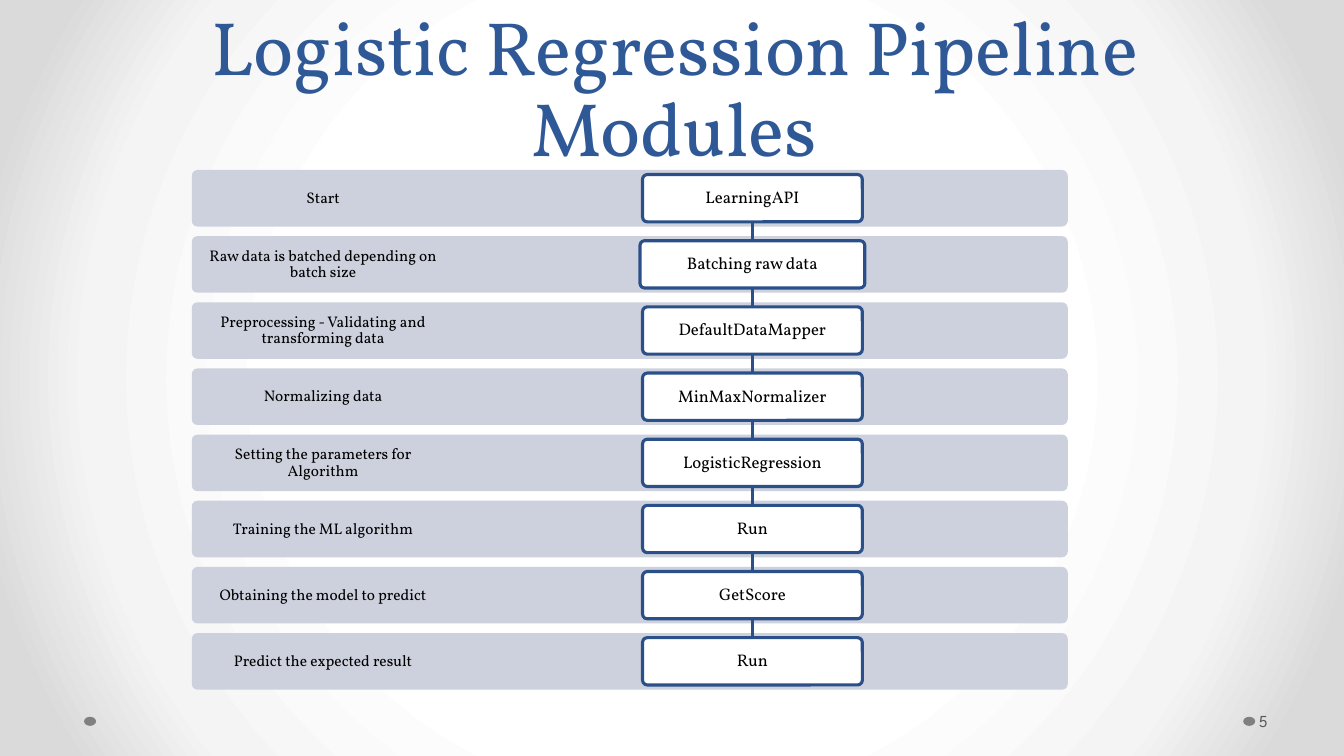
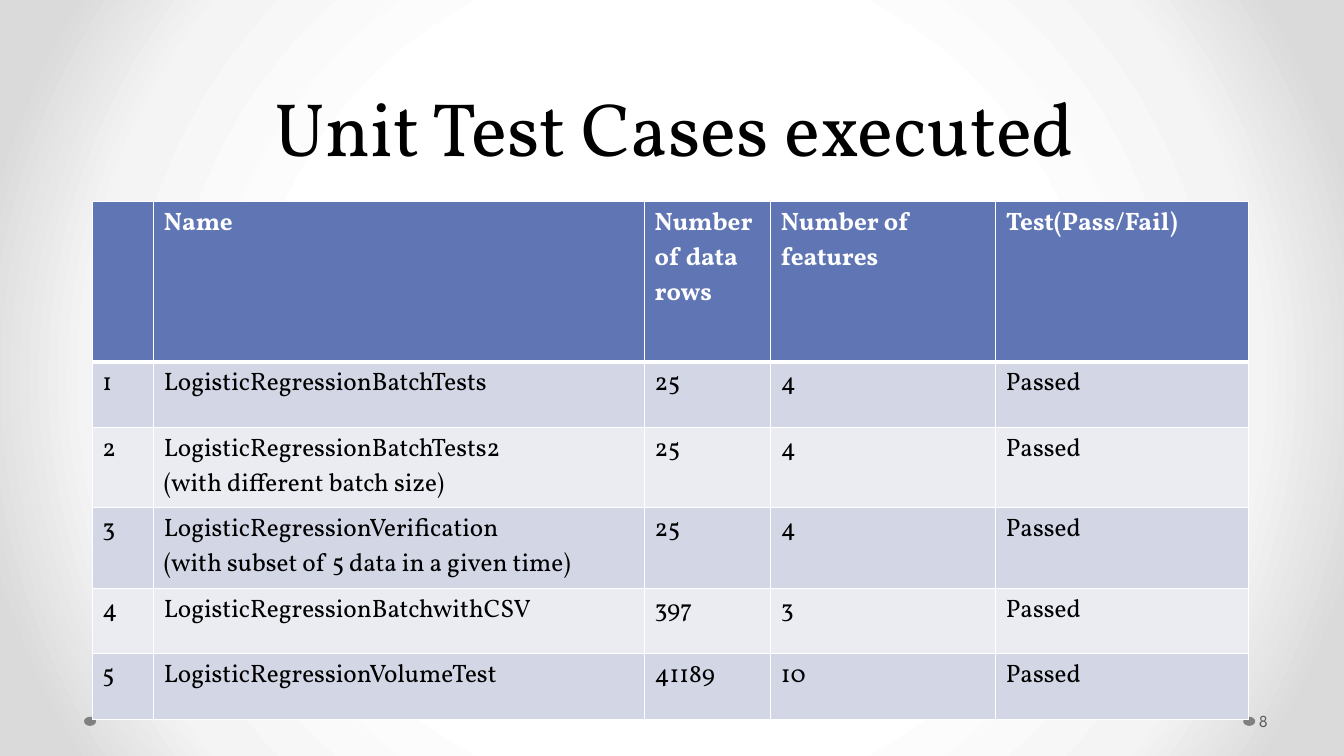
from dataclasses import dataclass

from lxml import etree
from pptx import Presentation
from pptx.dml.color import RGBColor
from pptx.enum.shapes import MSO_CONNECTOR, MSO_SHAPE
from pptx.enum.text import MSO_ANCHOR, MSO_AUTO_SIZE, PP_ALIGN
from pptx.oxml import parse_xml
from pptx.oxml.ns import nsdecls, qn
from pptx.util import Pt

LEFT, CENTER = PP_ALIGN.LEFT, PP_ALIGN.CENTER
TOP, MIDDLE, BOTTOM = MSO_ANCHOR.TOP, MSO_ANCHOR.MIDDLE, MSO_ANCHOR.BOTTOM
NO_FIT = MSO_AUTO_SIZE.NONE
ELLIPSE, ROUNDED = MSO_SHAPE.OVAL, MSO_SHAPE.ROUNDED_RECTANGLE
STRAIGHT = MSO_CONNECTOR.STRAIGHT


@dataclass(frozen=True)
class Theme:
    serif: str = "Vollkorn"
    sans: str = "League Spartan"
    title_size: float = 54
    title_leading: float = 58
    table_size: float = 18
    module_size: float = 12
    label_size: float = 11
    number_size: float = 12
    outline: float = 2.25
    black: str = "000000"
    white: str = "FFFFFF"
    blue: str = "2F5897"
    line: str = "2B5089"
    bar: str = "CDD1DD"
    dot: str = "808080"
    number: str = "595959"
    header: str = "6076B4"
    bands: tuple = ("D2D6E5", "EAECF2")
    backdrop: tuple = ((50, "FFFFFF"), (76, "F4F4F4"), (92, "DADADA"))


T = Theme()

STEPS = (
    ("Start", "LearningAPI"),
    ("Raw data is batched depending on batch size", "Batching raw data"),
    ("Preprocessing - Validating and transforming data", "DefaultDataMapper"),
    ("Normalizing data", "MinMaxNormalizer"),
    ("Setting the parameters for Algorithm", "LogisticRegression"),
    ("Training the ML algorithm", "Run"),
    ("Obtaining the model to predict", "GetScore"),
    ("Predict the expected result", "Run"),
)

TESTS = (
    ("", "Name", "Number of data rows", "Number of features", "Test(Pass/Fail)"),
    ("1", "LogisticRegressionBatchTests", "25", "4", "Passed"),
    ("2", "LogisticRegressionBatchTests2\n(with different batch size)", "25", "4", "Passed"),
    ("3", "LogisticRegressionVerification\n(with subset of 5 data in a given time)",
     "25", "4", "Passed"),
    ("4", "LogisticRegressionBatchwithCSV", "397", "3", "Passed"),
    ("5", "LogisticRegressionVolumeTest", "41189", "10", "Passed"),
)


def rgb(color):
    return RGBColor.from_string(color)


def set_all(target, values):
    for name, value in values.items():
        setattr(target, name, value)


def set_text(tf, text, size, color, font=T.serif, bold=False, align=LEFT, leading=None):
    tf.text = text
    for p in tf.paragraphs:
        set_all(p, {"alignment": align, "line_spacing": leading})
        set_all(p.font, {"size": Pt(size), "name": font, "bold": bold})
        p.font.color.rgb = rgb(color)
        for r in p.runs:
            set_all(r.font, {"size": Pt(size), "name": font, "bold": bold})
            r.font.color.rgb = rgb(color)


def set_frame(tf, anchor, left, other):
    set_all(tf, {"word_wrap": True, "auto_size": NO_FIT, "vertical_anchor": anchor,
                 "margin_left": Pt(left), "margin_right": Pt(other),
                 "margin_top": Pt(other), "margin_bottom": Pt(other)})


def add_box(s, kind, box, fill, line=None):
    sp = s.shapes.add_shape(kind, *map(Pt, box))
    sp.shadow.inherit = False
    sp.fill.solid()
    sp.fill.fore_color.rgb = rgb(fill)
    if line:
        sp.line.color.rgb = rgb(line)
        sp.line.width = Pt(T.outline)
    else:
        sp.line.fill.background()
    if kind == ROUNDED:
        sp.adjustments[0] = 0.1
    return sp


def add_link(s, x, y1, y2):
    cx = s.shapes.add_connector(STRAIGHT, Pt(x), Pt(y1), Pt(x), Pt(y2))
    cx.line.color.rgb = rgb(T.line)
    cx.line.width = Pt(T.outline)
    etree.SubElement(cx._element.spPr, qn("a:effectLst"))


def set_backdrop(master):
    master.background.fill.gradient()
    grad = master._element.find(".//" + qn("a:gradFill"))
    stops = "".join(f'<a:gs pos="{pos * 1000}"><a:srgbClr val="{color}"/></a:gs>'
                    for pos, color in T.backdrop)
    new = parse_xml(
        f'<a:gradFill {nsdecls("a")} rotWithShape="1"><a:gsLst>{stops}</a:gsLst>'
        '<a:path path="circle"><a:fillToRect l="50000" t="50000" r="50000" b="50000"/>'
        '</a:path></a:gradFill>')
    grad.getparent().replace(grad, new)


def new_slide(prs, title, color, number):
    s = prs.slides.add_slide(prs.slide_layouts[5])
    for x in (888, 60):
        add_box(s, ELLIPSE, (x, 512, 8.6, 6.5), T.dot)
    sp = s.shapes.title
    set_all(sp, {"left": Pt(48), "top": Pt(0), "width": Pt(864), "height": Pt(126)})
    set_frame(sp.text_frame, BOTTOM, 7.2, 3.6)
    set_text(sp.text_frame, title, T.title_size, color, align=CENTER,
             leading=Pt(T.title_leading))
    tf = s.shapes.add_textbox(Pt(897), Pt(500.4), Pt(59), Pt(28.8)).text_frame
    set_frame(tf, MIDDLE, 2.2, 3.6)
    set_text(tf, number, T.number_size, T.number, T.sans)
    return s


def add_pipeline(s, box, steps):
    left, top, width, height = box
    bar_h, module_h = 40.4, 33.8
    pitch = (height - bar_h) / (len(steps) - 1)
    inset = (bar_h - module_h) / 2
    center = left + width * 0.64
    for i, (label, module) in enumerate(steps):
        y = top + i * pitch
        add_box(s, ROUNDED, (left, y, width, bar_h), T.bar)
        tf = s.shapes.add_textbox(Pt(left), Pt(y), Pt(width * 0.3), Pt(bar_h)).text_frame
        set_frame(tf, MIDDLE, 6.2, 6.2)
        set_text(tf, label, T.label_size, T.black, align=CENTER, leading=0.9)
        module_w = 160.6 if i == 1 else 157
        sp = add_box(s, ROUNDED, (center - module_w / 2, y + inset, module_w, module_h),
                     T.white, T.line)
        set_frame(sp.text_frame, MIDDLE, 3.6, 3.6)
        set_text(sp.text_frame, module, T.module_size, T.black, align=CENTER, leading=0.9)
        if i:
            add_link(s, center, y + inset - pitch + module_h, y + inset)


def set_borders(cell, top, bottom):
    tc_pr = cell._tc.get_or_add_tcPr()
    for i, (side, width) in enumerate((("L", 1), ("R", 1), ("T", top), ("B", bottom))):
        tc_pr.insert(i, parse_xml(
            f'<a:ln{side} {nsdecls("a")} w="{Pt(width)}"><a:solidFill>'
            f'<a:srgbClr val="{T.white}"/></a:solidFill></a:ln{side}>'))


def add_results(s, box, rows, widths, header_h):
    row_h = (box[3] - header_h) / (len(rows) - 1)
    tbl = s.shapes.add_table(len(rows), len(widths), *map(Pt, box)).table
    set_all(tbl, {"first_row": True, "horz_banding": False})
    for col, width in zip(tbl.columns, widths):
        col.width = Pt(width)
    for i, values in enumerate(rows):
        head = i == 0
        tbl.rows[i].height = Pt(header_h if head else row_h)
        for j, value in enumerate(values):
            cell = tbl.cell(i, j)
            cell.vertical_anchor = TOP
            cell.fill.solid()
            cell.fill.fore_color.rgb = rgb(T.header if head else T.bands[(i - 1) % 2])
            set_text(cell.text_frame, value, T.table_size,
                     T.white if head else T.black, bold=head)
            set_borders(cell, 3 if i == 1 else 1, 3 if head else 1)


def main():
    prs = Presentation()
    set_all(prs, {"slide_width": Pt(960), "slide_height": Pt(540)})
    set_backdrop(prs.slide_master)

    s = new_slide(prs, "Logistic Regression Pipeline Modules", T.blue, "5")
    add_pipeline(s, (137, 121.4, 625.7, 371.2), STEPS)

    s = new_slide(prs, "Unit Test Cases executed", T.black, "8")
    add_results(s, (66, 144, 825.6, 348.5), TESTS, (43.8, 350.6, 90.2, 160.7, 180.3), 114.5)

    prs.save("out.pptx")


main()
